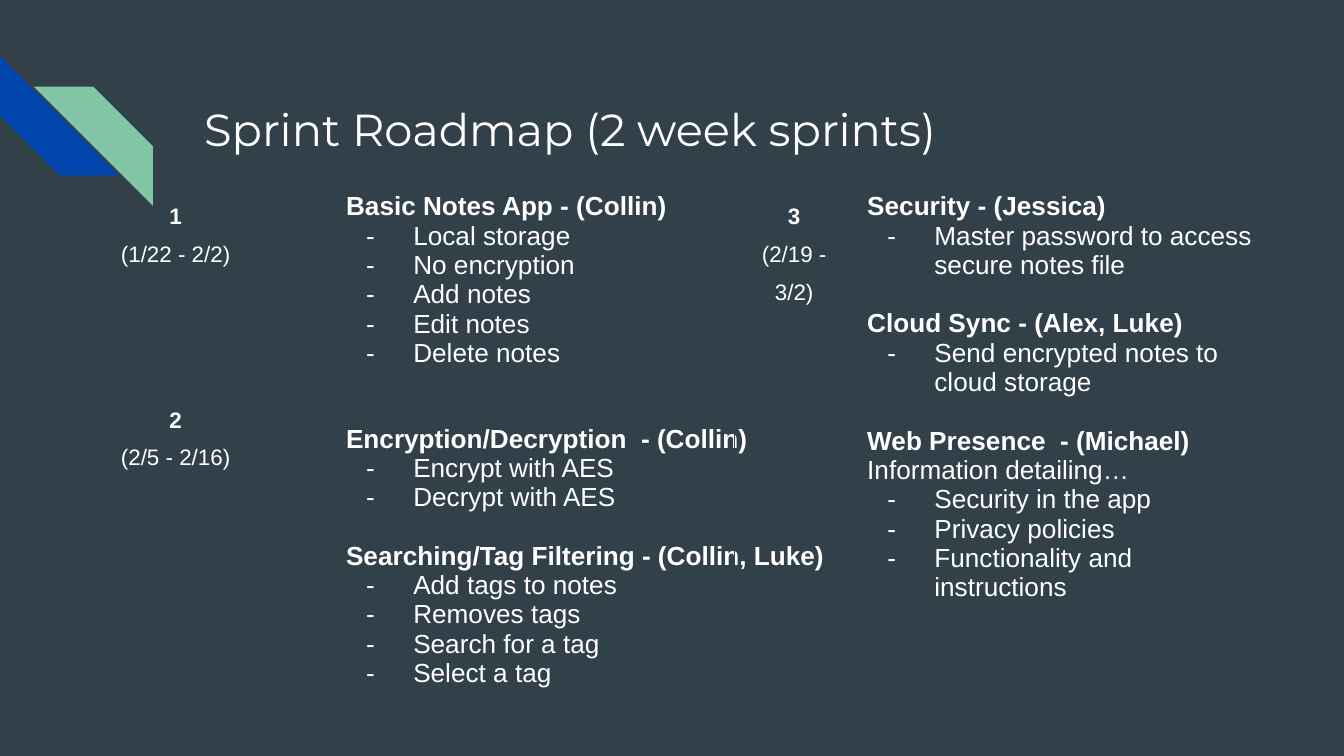
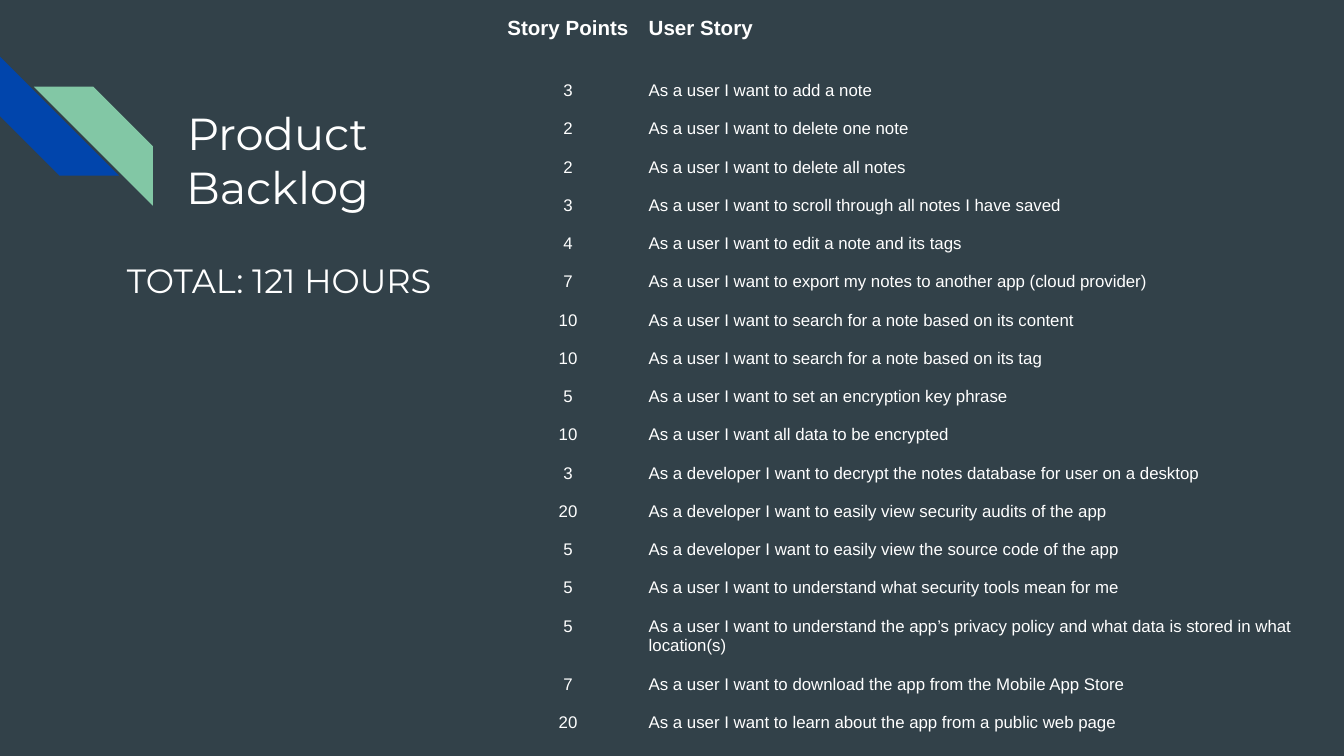
from lxml.etree import SubElement
from pptx import Presentation
from pptx.dml.color import RGBColor
from pptx.enum.shapes import MSO_SHAPE as Preset
from pptx.enum.text import PP_ALIGN as Align
from pptx.oxml.ns import qn
from pptx.util import Cm, Pt

# Shared look
BACKDROP, INK, BLUE, GREEN = "324149", "FFFFFF", "0145AC", "82C7A5"
TITLE_FONT, BODY_FONT = "Montserrat", "Arial"
STRIPE = 2.25  # side of a corner stripe, in cm
GOAL_LINE = 0.55  # height of one line of goal text, in cm
WIDE, TIGHT, FLAT = 0.25, 0.18, 0.17  # cell margins, in cm
SIDES = ("lnL", "lnR", "lnT", "lnB")

# Each goal: heading, introduction, bullet points
SPRINT_1 = [
    ("Basic Notes App - (Collin)", "",
     ["Local storage", "No encryption", "Add notes", "Edit notes", "Delete notes"]),
]
SPRINT_2 = [
    ("Encryption/Decryption  - (Collin)", "", ["Encrypt with AES", "Decrypt with AES"]),
    ("Searching/Tag Filtering - (Collin, Luke)", "",
     ["Add tags to notes", "Removes tags", "Search for a tag", "Select a tag"]),
]
SPRINT_3 = [
    ("Security - (Jessica)", "", ["Master password to access secure notes file"]),
    ("Cloud Sync - (Alex, Luke)", "", ["Send encrypted notes to cloud storage"]),
    ("Web Presence  - (Michael)", "Information detailing…",
     ["Security in the app", "Privacy policies", "Functionality and instructions"]),
]
BACKLOG = [
    (3, "As a user I want to add a note"),
    (2, "As a user I want to delete one note"),
    (2, "As a user I want to delete all notes"),
    (3, "As a user I want to scroll through all notes I have saved"),
    (4, "As a user I want to edit a note and its tags"),
    (7, "As a user I want to export my notes to another app (cloud provider)"),
    (10, "As a user I want to search for a note based on its content"),
    (10, "As a user I want to search for a note based on its tag"),
    (5, "As a user I want to set an encryption key phrase"),
    (10, "As a user I want all data to be encrypted"),
    (3, "As a developer I want to decrypt the notes database for user on a desktop"),
    (20, "As a developer I want to easily view security audits of the app"),
    (5, "As a developer I want to easily view the source code of the app"),
    (5, "As a user I want to understand what security tools mean for me"),
    (5, "As a user I want to understand the app’s privacy policy and what data "
        "is stored in what location(s)"),
    (7, "As a user I want to download the app from the Mobile App Store"),
    (20, "As a user I want to learn about the app from a public web page"),
]


def color(hex_code):
    return RGBColor.from_string(hex_code)


def style(paragraph, size, bold=False, font=BODY_FONT, align=Align.LEFT):
    paragraph.alignment = align
    for run in paragraph.runs:
        run.font.name, run.font.size, run.font.bold = font, Pt(size), bold
        run.font.color.rgb = color(INK)
    # The paragraph mark sets the bullet size and the height of the last line
    SubElement(paragraph._p, qn("a:endParaRPr"), sz=str(size * 100))


def add_stripe(slide, left, top, rotation, fill):
    stripe = slide.shapes.add_shape(
        Preset.DIAGONAL_STRIPE, Cm(left), Cm(top), Cm(STRIPE), Cm(STRIPE))
    stripe.rotation = rotation
    stripe.shadow.inherit = False
    stripe.fill.solid()
    stripe.fill.fore_color.rgb = color(fill)
    stripe.line.fill.background()


def new_slide(deck):
    slide = deck.slides.add_slide(deck.slide_layouts[6])
    slide.background.fill.solid()
    slide.background.fill.fore_color.rgb = color(BACKDROP)
    add_stripe(slide, 0, 1.07, 270, BLUE)
    add_stripe(slide, 0.64, 1.64, 90, GREEN)
    return slide


def add_title(slide, text, left, top, width, height, size=24, align=Align.LEFT):
    frame = slide.shapes.add_textbox(Cm(left), Cm(top), Cm(width), Cm(height)).text_frame
    frame.word_wrap = True
    frame.margin_left = frame.margin_right = Cm(WIDE)
    frame.margin_top = frame.margin_bottom = Cm(WIDE)
    frame.text = text
    for paragraph in frame.paragraphs:
        style(paragraph, size, font=TITLE_FONT, align=align)


def set_borders(cell, drawn):
    properties = cell._tc.get_or_add_tcPr()
    for side in SIDES:
        width = Pt(0.75) if side in drawn else 0
        edge = SubElement(properties, qn(f"a:{side}"), w=str(width))
        if width:
            SubElement(SubElement(edge, qn("a:solidFill")), qn("a:srgbClr"), val=BACKDROP)
        else:
            SubElement(edge, qn("a:noFill"))


def add_grid(slide, left, top, widths, heights, margins, borders=()):
    grid = slide.shapes.add_table(
        len(heights), len(widths), Cm(left), Cm(top),
        Cm(sum(widths)), Cm(sum(heights))).table
    grid.first_row = grid.horz_banding = False
    for column, width in zip(grid.columns, widths):
        column.width = Cm(width)
    for row, height in zip(grid.rows, heights):
        row.height = Cm(height)
    across, down = margins
    for cell in grid.iter_cells():
        cell.margin_left = cell.margin_right = Cm(across)
        cell.margin_top = cell.margin_bottom = Cm(down)
        set_borders(cell, borders)
        cell.fill.background()
    return grid


def add_dash(paragraph):
    properties = paragraph._p.get_or_add_pPr()
    properties.set("marL", str(Cm(1.27)))
    properties.set("indent", str(Cm(-0.89)))
    SubElement(SubElement(properties, qn("a:buClr")), qn("a:srgbClr"), val=INK)
    SubElement(properties, qn("a:buFont"), typeface=BODY_FONT)
    SubElement(properties, qn("a:buChar"), char="-")


def fill_sprint(cell, number, dates):
    cell.text = f"{number}\n{dates}"
    for paragraph, bold in zip(cell.text_frame.paragraphs, (True, False)):
        style(paragraph, 12, bold, align=Align.CENTER)
        paragraph.line_spacing = 1.5


def fill_goals(cell, goals):
    lines = []
    for heading, intro, points in goals:
        lines.append((heading, "heading"))
        if intro:
            lines.append((intro, "intro"))
        lines += [(point, "point") for point in points]
    cell.text = "\n".join(text for text, _ in lines)
    for index, (paragraph, (_, role)) in enumerate(zip(cell.text_frame.paragraphs, lines)):
        style(paragraph, 14, role == "heading")
        if role == "point":
            add_dash(paragraph)
        elif role == "heading" and index:
            paragraph.space_before = Cm(GOAL_LINE)


def build_roadmap(deck):
    slide = new_slide(deck)
    add_title(slide, "Sprint Roadmap (2 week sprints)", 3.61, 1.68, 19.56, 1.55)

    # Sprints 1 and 2, open at the top where the corner stripe reaches in
    early = add_grid(slide, 0.35, 3.38, [5.94, 11.63], [3.84, 3.28], (WIDE, WIDE),
                     ("lnL", "lnR", "lnB"))
    fill_sprint(early.cell(0, 0), 1, "(1/22 - 2/2)")
    fill_goals(early.cell(0, 1), SPRINT_1)
    early.cell(0, 1).margin_bottom = 0
    fill_sprint(early.cell(1, 0), 2, "(2/5 - 2/16)")
    fill_goals(early.cell(1, 1), SPRINT_2)
    early.cell(1, 1).margin_top = Cm(WIDE + GOAL_LINE)

    # Sprint 3
    late = add_grid(slide, 13.88, 3.38, [2.26, 7.87], [5.92], (WIDE, WIDE), SIDES)
    fill_sprint(late.cell(0, 0), 3, "(2/19 - 3/2)")
    fill_goals(late.cell(0, 1), SPRINT_3)


def build_backlog(deck):
    slide = new_slide(deck)

    # Stories with their points
    heights = [1.22] + [1.08 if len(story) > 80 else 0.71 for _, story in BACKLOG]
    stories = add_grid(slide, 9.39, 0.15, [2.69, 13.82], heights, (TIGHT, FLAT))
    for row, entry in enumerate([("Story Points", "User Story")] + BACKLOG):
        for column, align in enumerate((Align.CENTER, Align.LEFT)):
            cell = stories.cell(row, column)
            cell.text = str(entry[column])
            style(cell.text_frame.paragraphs[0], 9 if row else 11, row == 0, align=align)

    # Titles
    add_title(slide, "TOTAL: 121 HOURS", 2.15, 4.66, 7.39, 1.45, size=18)
    add_title(slide, "Product\nBacklog", 3.15, 1.75, 4.19, 2.64, align=Align.CENTER)


def main():
    deck = Presentation()
    deck.slide_width, deck.slide_height = Cm(25.4), Cm(14.29)
    build_roadmap(deck)
    build_backlog(deck)
    deck.save("out.pptx")


if __name__ == "__main__":
    main()
